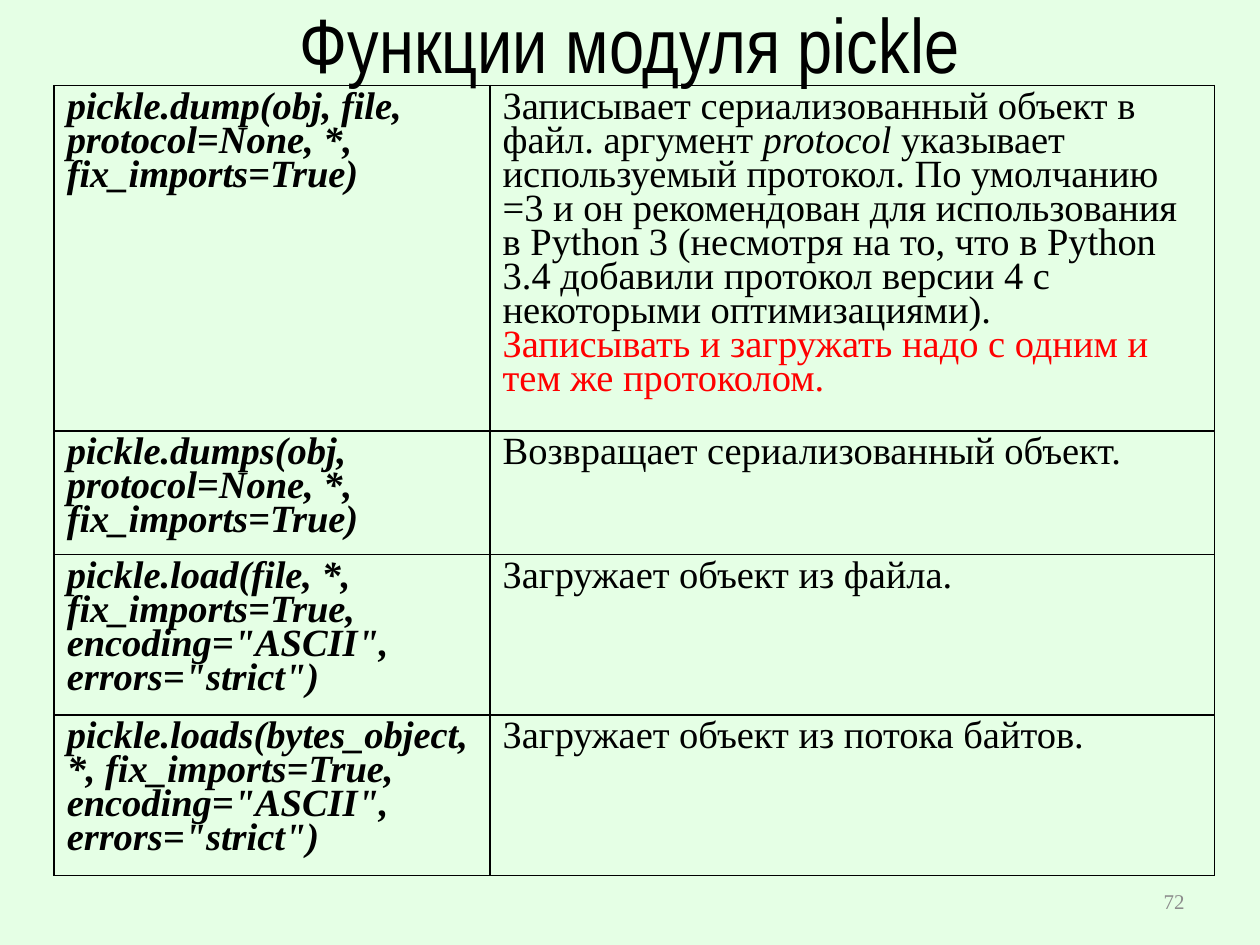
from lxml.etree import SubElement
from pptx import Presentation
from pptx.dml.color import RGBColor
from pptx.enum.text import MSO_ANCHOR, MSO_AUTO_SIZE, PP_ALIGN
from pptx.oxml.ns import qn
from pptx.util import Inches, Pt

BLACK, RED, GRAY, PALE_GREEN = "000000", "FF0000", "8C8C8C", "E5FFE5"
SERIF, NARROW = "Times New Roman", "Arial Narrow"
COLUMN_WIDTHS = [3.46, 5.75]
ROW_HEIGHTS = [2.54, 0.91, 1.18, 1.18]

# Each row: a signature, then paragraphs made of (text, format) runs
FUNCTIONS = [
    ("pickle.dump(obj, file, protocol=None, *, fix_imports=True)", [
        [("Записывает сериализованный объект в файл. аргумент ", {}),
         ("protocol", {"italic": True}),
         (" указывает используемый протокол. По умолчанию =3 и он "
          "рекомендован для использования в Python 3 (несмотря на то, что "
          "в Python 3.4 добавили протокол версии 4 с некоторыми "
          "оптимизациями).", {})],
        [("Записывать и загружать надо с одним и тем же протоколом.",
          {"color": RED})]]),
    ("pickle.dumps(obj, protocol=None, *, fix_imports=True)",
     [[("Возвращает сериализованный объект.", {})]]),
    ('pickle.load(file, *, fix_imports=True, encoding="ASCII", errors="strict")',
     [[("Загружает объект из файла.", {})]]),
    ('pickle.loads(bytes_object, *, fix_imports=True, encoding="ASCII", '
     'errors="strict")',
     [[("Загружает объект из потока байтов.", {})]]),
]


def rgb(value):
    return RGBColor.from_string(value)


def add_text(paragraph, text, size=22, font=SERIF, color=BLACK,
             bold=False, italic=False):
    run = paragraph.add_run()
    run.text = text
    run.font.size = Pt(size)
    run.font.name = font
    run.font.color.rgb = rgb(color)
    run.font.bold = bold
    run.font.italic = italic


def place(shape, left, top, width, height):
    shape.left, shape.top = Inches(left), Inches(top)
    shape.width, shape.height = Inches(width), Inches(height)


def fill_title(slide, box, text):
    title = slide.shapes.title
    place(title, *box)
    frame = title.text_frame
    frame.auto_size = MSO_AUTO_SIZE.NONE
    frame.vertical_anchor = MSO_ANCHOR.MIDDLE
    frame.paragraphs[0].alignment = PP_ALIGN.CENTER
    add_text(frame.paragraphs[0], text, size=44, font=NARROW)


def add_page_number(slide, box, text):
    frame = slide.shapes.add_textbox(*map(Inches, box)).text_frame
    frame.word_wrap = True
    frame.vertical_anchor = MSO_ANCHOR.MIDDLE
    frame.paragraphs[0].alignment = PP_ALIGN.RIGHT
    add_text(frame.paragraphs[0], text, size=12, color=GRAY)


def draw_borders(cell):
    properties = cell._tc.get_or_add_tcPr()
    for position, side in enumerate(("lnL", "lnR", "lnT", "lnB")):
        line = properties.makeelement(qn(f"a:{side}"), {"w": str(Pt(1))})
        properties.insert(position, line)
        fill = SubElement(line, qn("a:solidFill"))
        SubElement(fill, qn("a:srgbClr"), val=BLACK)


def fill_cell(cell, paragraphs):
    cell.fill.background()
    draw_borders(cell)
    frame = cell.text_frame
    for index, runs in enumerate(paragraphs):
        paragraph = frame.add_paragraph() if index else frame.paragraphs[0]
        paragraph.line_spacing = 0.8
        for text, text_format in runs:
            add_text(paragraph, text, **text_format)


def add_function_table(slide, left, top):
    shape = slide.shapes.add_table(
        len(FUNCTIONS), len(COLUMN_WIDTHS), Inches(left), Inches(top),
        Inches(sum(COLUMN_WIDTHS)), Inches(sum(ROW_HEIGHTS)))
    table = shape.table
    table.first_row = table.horz_banding = False
    for column, width in zip(table.columns, COLUMN_WIDTHS):
        column.width = Inches(width)
    for row, height, (signature, description) in zip(
            table.rows, ROW_HEIGHTS, FUNCTIONS):
        row.height = Inches(height)
        fill_cell(row.cells[0],
                  [[(signature, {"bold": True, "italic": True})]])
        fill_cell(row.cells[1], description)


def main():
    presentation = Presentation()
    presentation.slide_width, presentation.slide_height = Inches(10), Inches(7.5)
    slide = presentation.slides.add_slide(presentation.slide_layouts[5])
    slide.background.fill.solid()
    slide.background.fill.fore_color.rgb = rgb(PALE_GREEN)

    fill_title(slide, (0.12, 0, 9.76, 0.68), "Функции модуля pickle")
    add_page_number(slide, (7.17, 6.95, 2.33, 0.4), "72")
    add_function_table(slide, 0.43, 0.68)
    presentation.save("out.pptx")


if __name__ == "__main__":
    main()
